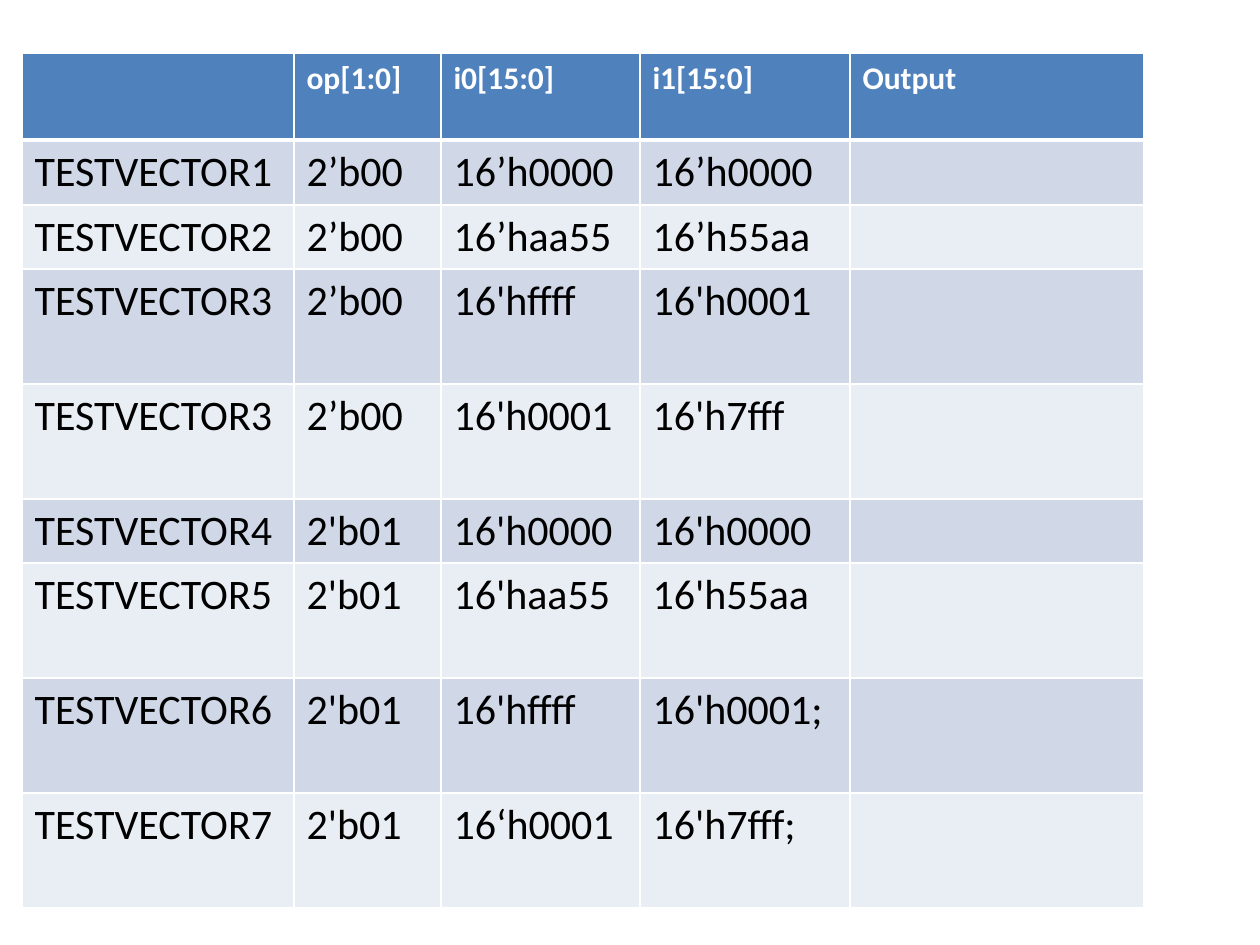
from lxml.etree import SubElement
from pptx import Presentation
from pptx.dml.color import RGBColor
from pptx.oxml.ns import qn
from pptx.util import Pt

PX = 7257  # EMU per px, 126 px to the inch
COLORS = {
    "header": "4F81BD",
    "odd_row": "D0D8E8",
    "even_row": "E9EDF4",
    "border": "FFFFFF",
    "header_text": "FFFFFF",
    "body_text": "000000",
}
FONT = "Calibri"
COLUMN_WIDTHS = [272, 147, 199, 210, 294]
ROW_HEIGHTS = [87, 65, 64, 115, 115, 64, 115, 115, 115]
TEST_VECTORS = [
    ("", "op[1:0]", "i0[15:0]", "i1[15:0]", "Output"),
    ("TESTVECTOR1", "2’b00", "16’h0000", "16’h0000", ""),
    ("TESTVECTOR2", "2’b00", "16’haa55", "16’h55aa", ""),
    ("TESTVECTOR3", "2’b00", "16'hffff", "16'h0001", ""),
    ("TESTVECTOR3", "2’b00", "16'h0001", "16'h7fff", ""),
    ("TESTVECTOR4", "2'b01", "16'h0000", "16'h0000", ""),
    ("TESTVECTOR5", "2'b01", "16'haa55", "16'h55aa", ""),
    ("TESTVECTOR6", "2'b01", "16'hffff", "16'h0001;", ""),
    ("TESTVECTOR7", "2'b01", "16‘h0001", "16'h7fff;", ""),
]


def rgb(name):
    return RGBColor.from_string(COLORS[name])


def set_borders(cell, top=1, bottom=1):
    """Draw the four cell borders; widths are in points."""
    properties = cell._tc.get_or_add_tcPr()
    for side, width in (("L", 1), ("R", 1), ("T", top), ("B", bottom)):
        line = SubElement(properties, qn(f"a:ln{side}"), w=str(Pt(width)))
        fill = SubElement(line, qn("a:solidFill"))
        SubElement(fill, qn("a:srgbClr"), val=COLORS["border"])


def fill_cell(cell, text, row):
    is_header = row == 0
    set_borders(cell, top=3 if row == 1 else 1, bottom=3 if is_header else 1)
    cell.fill.solid()
    band = "odd_row" if row % 2 else "even_row"
    cell.fill.fore_color.rgb = rgb("header" if is_header else band)
    cell.text_frame.text = text
    for run in cell.text_frame.paragraphs[0].runs:
        run.font.name = FONT
        run.font.size = Pt(18 if is_header else 24)
        run.font.bold = is_header
        run.font.color.rgb = rgb("header_text" if is_header else "body_text")


def add_vector_table(slide, left, top):
    size = len(ROW_HEIGHTS), len(COLUMN_WIDTHS)
    box = left, top, sum(COLUMN_WIDTHS), sum(ROW_HEIGHTS)
    table = slide.shapes.add_table(*size, *(length * PX for length in box)).table
    for column, width in zip(table.columns, COLUMN_WIDTHS):
        column.width = width * PX
    for row, height in zip(table.rows, ROW_HEIGHTS):
        row.height = height * PX
    for row, vector in enumerate(TEST_VECTORS):
        for column, text in enumerate(vector):
            fill_cell(table.cell(row, column), text, row)


def main():
    deck = Presentation()
    deck.slide_width, deck.slide_height = 1260 * PX, 945 * PX
    slide = deck.slides.add_slide(deck.slide_layouts[6])
    add_vector_table(slide, left=22, top=53)
    deck.save("out.pptx")


if __name__ == "__main__":
    main()
